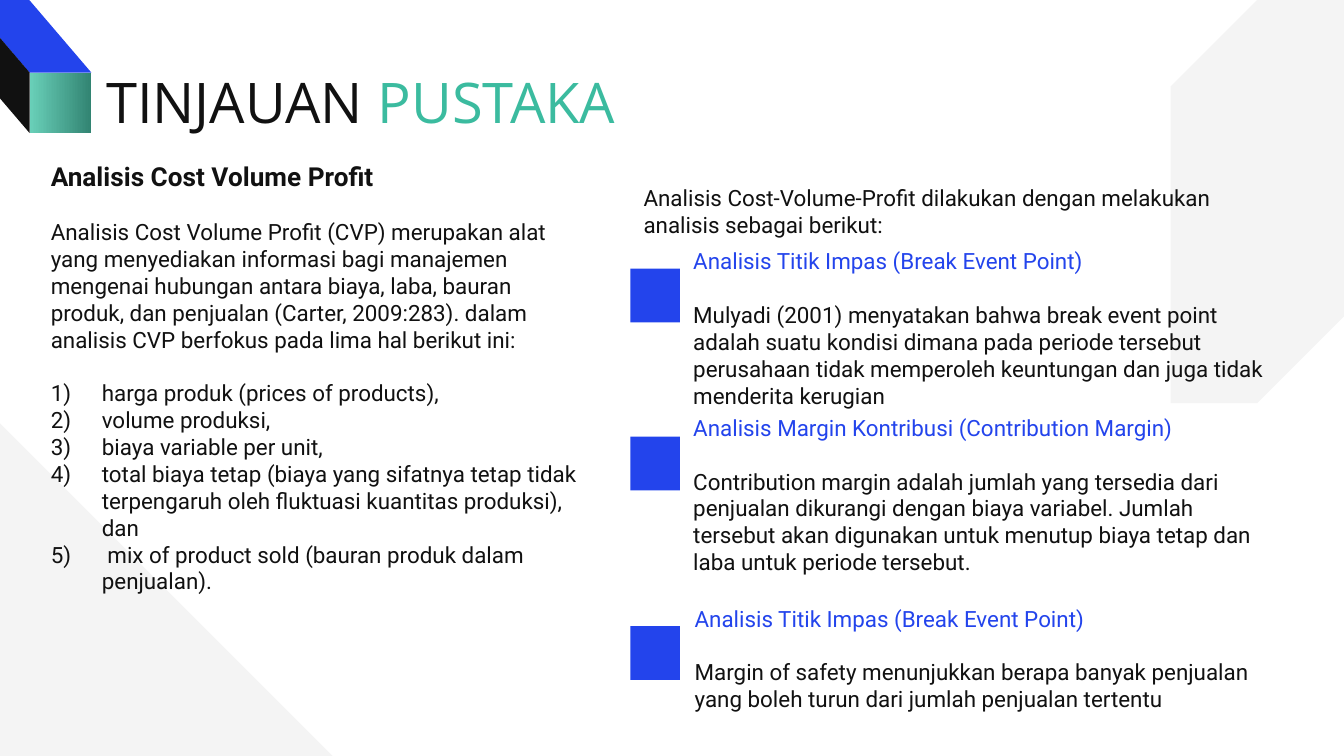
from pptx import Presentation
from pptx.dml.color import RGBColor
from pptx.enum.shapes import MSO_SHAPE
from pptx.enum.text import MSO_ANCHOR, PP_ALIGN
from pptx.oxml.ns import qn
from pptx.util import Inches, Pt
from lxml.etree import SubElement

COLORS = {
    "ink": "111111",
    "blue": "2344EC",
    "teal": "3BBB9F",
    "teal_light": "69D0B9",
    "teal_dark": "328472",
    "pale": "F4F4F4",
}
BODY_FONT = "Roboto"
LINE_GAP = 14.4

FOCUS_POINTS = [
    "harga produk (prices of products),",
    "volume produksi,",
    "biaya variable per unit,",
    "total biaya tetap (biaya yang sifatnya tetap tidak terpengaruh oleh "
    "fluktuasi kuantitas produksi), dan",
    " mix of product sold (bauran produk dalam penjualan).",
]

# text box (left, top, width, height), marker top, heading, explanation
ANALYSES = [
    ((5.06, 1.74, 4.5, 2.08), 2, "Analisis Titik Impas (Break Event Point)",
     "Mulyadi (2001) menyatakan bahwa break event point adalah suatu kondisi "
     "dimana pada periode tersebut perusahaan tidak memperoleh keuntungan dan "
     "juga tidak menderita kerugian"),
    ((5.06, 2.98, 4.5, 2.08), 3.25,
     "Analisis Margin Kontribusi (Contribution Margin)",
     "Contribution margin adalah jumlah yang tersedia dari penjualan dikurangi "
     "dengan biaya variabel. Jumlah tersebut akan digunakan untuk menutup biaya "
     "tetap dan laba untuk periode tersebut."),
    ((5.07, 4.4, 4.49, 1.33), 4.66, "Analisis Titik Impas (Break Event Point)",
     "Margin of safety menunjukkan berapa banyak penjualan yang boleh turun "
     "dari jumlah penjualan tertentu"),
]


def rgb(name):
    return RGBColor.from_string(COLORS[name])


def paint(shape, color):
    shape.shadow.inherit = False
    shape.fill.solid()
    shape.fill.fore_color.rgb = rgb(color)
    shape.line.fill.background()


def add_block(slide, preset, box, color):
    block = slide.shapes.add_shape(preset, *map(Inches, box))
    paint(block, color)
    return block


def add_face(slide, points, color):
    builder = slide.shapes.build_freeform(
        Inches(points[0][0]), Inches(points[0][1]))
    builder.add_line_segments(
        [(Inches(x), Inches(y)) for x, y in points[1:]], close=True)
    face = builder.convert_to_shape()
    paint(face, color)
    return face


def add_text_frame(slide, box):
    frame = slide.shapes.add_textbox(*map(Inches, box)).text_frame
    frame.word_wrap = True
    frame.margin_left = frame.margin_right = Inches(0.1)
    frame.margin_top = frame.margin_bottom = Inches(0.1)
    return frame


def add_paragraph(frame, text, color="ink", size=12, bold=False, before=0):
    """Fill the frame's empty first paragraph, or append a new one."""
    first = frame.paragraphs[0]
    paragraph = frame.add_paragraph() if first.runs else first
    paragraph.add_run().text = text
    paragraph.space_before = Pt(before)
    font = paragraph.font
    font.name, font.size, font.bold = BODY_FONT, Pt(size), bold
    font.color.rgb = rgb(color)
    return paragraph


def number_paragraph(paragraph, indent=0.38):
    properties = paragraph._p.get_or_add_pPr()
    properties.set("marL", str(Inches(indent)))
    properties.set("indent", str(-Inches(indent)))
    bullet = SubElement(properties, qn("a:buAutoNum"), type="arabicParenR")
    run_defaults = properties.find(qn("a:defRPr"))
    run_defaults.addprevious(bullet)


def add_background(slide, width):
    add_block(slide, MSO_SHAPE.RIGHT_TRIANGLE, (0, 3.15, 2.5, 2.5), "pale")
    panel = add_block(slide, MSO_SHAPE.SNIP_2_DIAG_RECTANGLE,
                      (width - 1.29, 0, 1.29, 3), "pale")
    panel.adjustments[0], panel.adjustments[1] = 0.5, 0


def add_corner_bar(slide, left, top, right, bottom):
    """Draw a bar whose front face fills the box and recedes to the upper left."""
    dx, dy = 0.47, 0.55
    front = add_face(slide, [(right, top), (right, bottom),
                             (left, bottom), (left, top)], "teal")
    front.fill.gradient()
    front.fill.gradient_angle = 0
    for stop, color in zip(front.fill.gradient_stops,
                           ("teal_light", "teal_dark")):
        stop.color.rgb = rgb(color)
    add_face(slide, [(right - dx, top - dy), (right, top),
                     (left, top), (left - dx, top - dy)], "blue")
    add_face(slide, [(left - dx, top - dy), (left, top),
                     (left, bottom), (left - dx, bottom - dy)], "ink")


def set_title(slide, box):
    title = slide.shapes.title
    title.left, title.top, title.width, title.height = map(Inches, box)
    frame = title.text_frame
    frame.margin_left = frame.margin_right = 0
    frame.margin_top = frame.margin_bottom = 0
    frame.vertical_anchor = MSO_ANCHOR.MIDDLE
    paragraph = frame.paragraphs[0]
    paragraph.alignment = PP_ALIGN.LEFT
    paragraph.line_spacing = 1.0
    paragraph.font.name, paragraph.font.size = "Open Sans", Pt(30)
    for text, color in (("TINJAUAN ", "ink"), ("PUSTAKA", "teal")):
        run = paragraph.add_run()
        run.text = text
        run.font.color.rgb = rgb(color)


def add_overview(slide, box):
    frame = add_text_frame(slide, box)
    add_paragraph(frame, "Analisis Cost Volume Profit", size=14, bold=True)
    add_paragraph(
        frame,
        "Analisis Cost Volume Profit (CVP) merupakan alat yang menyediakan "
        "informasi bagi manajemen mengenai hubungan antara biaya, laba, bauran "
        "produk, dan penjualan (Carter, 2009:283). dalam analisis CVP berfokus "
        "pada lima hal berikut ini:", before=LINE_GAP)
    for index, point in enumerate(FOCUS_POINTS):
        number_paragraph(add_paragraph(
            frame, point, before=0 if index else LINE_GAP))


def add_analysis(slide, box, marker_top, heading, explanation):
    frame = add_text_frame(slide, box)
    add_paragraph(frame, heading, color="blue")
    add_paragraph(frame, explanation, before=LINE_GAP)
    add_block(slide, MSO_SHAPE.RECTANGLE, (4.69, marker_top, 0.37, 0.4), "blue")


def main():
    width = 10
    deck = Presentation()
    deck.slide_width, deck.slide_height = Inches(width), Inches(width * 9 / 16)
    slide = deck.slides.add_slide(deck.slide_layouts[5])
    add_background(slide, width)
    add_corner_bar(slide, 0.22, 0.54, 0.68, 0.99)
    set_title(slide, (0.79, 0.5, 8.43, 0.5))
    add_overview(slide, (0.28, 1.09, 4.2, 3.84))
    add_paragraph(
        add_text_frame(slide, (4.69, 1.27, 4.87, 0.5)),
        "Analisis Cost-Volume-Profit dilakukan dengan melakukan analisis "
        "sebagai berikut:")
    for analysis in ANALYSES:
        add_analysis(slide, *analysis)
    deck.save("out.pptx")


if __name__ == "__main__":
    main()
